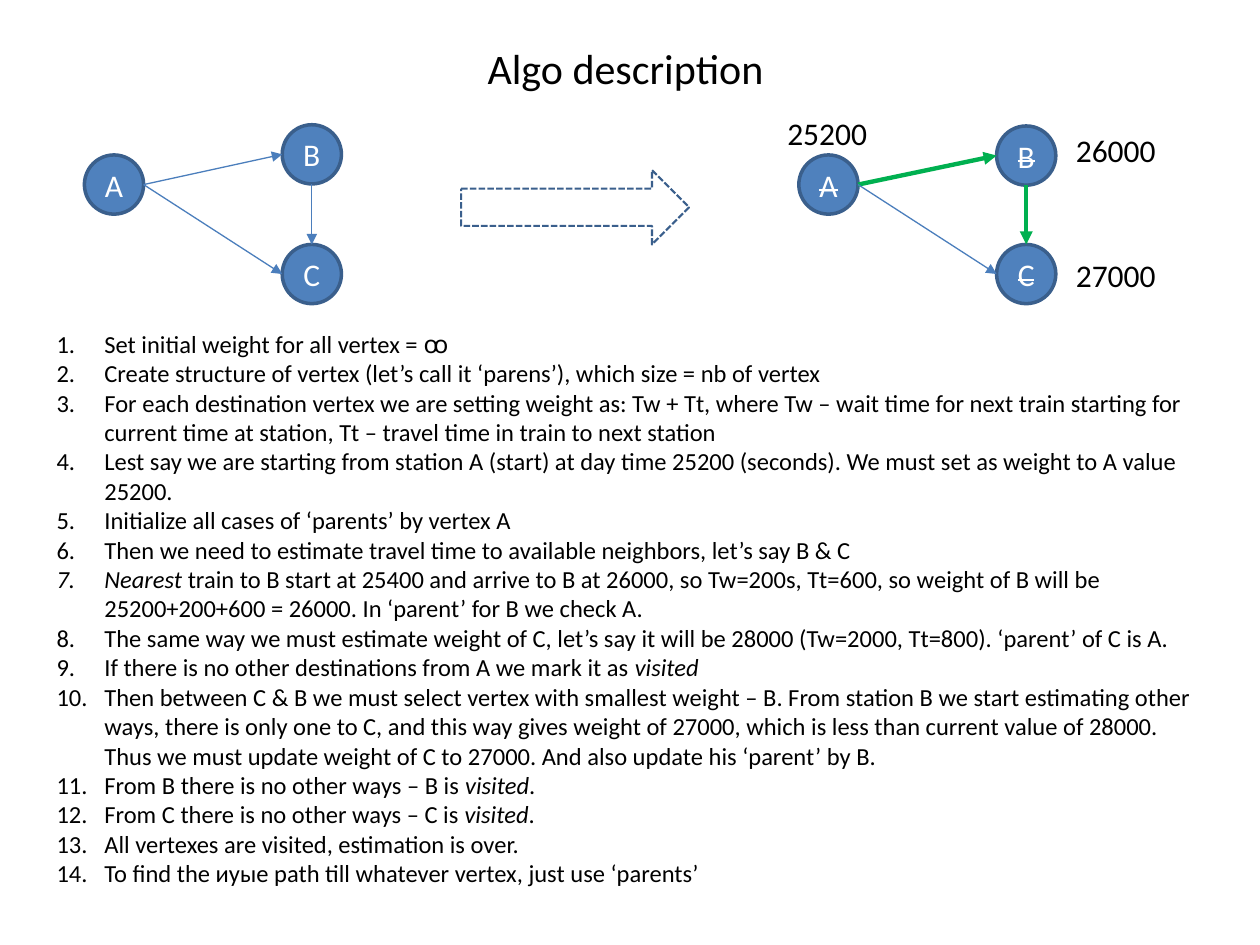
from lxml.etree import SubElement
from pptx import Presentation
from pptx.dml.color import RGBColor
from pptx.enum.dml import MSO_LINE
from pptx.enum.shapes import MSO_CONNECTOR, MSO_SHAPE
from pptx.enum.text import MSO_ANCHOR, PP_ALIGN
from pptx.oxml.ns import qn
from pptx.util import Inches, Pt

BLACK = RGBColor(0x00, 0x00, 0x00)
WHITE = RGBColor(0xFF, 0xFF, 0xFF)
BLUE = RGBColor(0x4F, 0x81, 0xBD)
NAVY = RGBColor(0x3A, 0x5F, 0x8C)
STEEL = RGBColor(0x4B, 0x7E, 0xBC)
GREEN = RGBColor(0x00, 0xB0, 0x50)

SIZE = 0.47
HALF = SIZE / 2

STEPS = [
    "Set initial weight for all vertex = ꚙ",
    "Create structure of vertex (let’s call it ‘parens’), which size = nb of vertex",
    "For each destination vertex we are setting weight as: Tw + Tt, where Tw – wait time "
    "for next train starting for current time at station, Tt – travel time in train to next station",
    "Lest say we are starting from station A (start) at day time 25200 (seconds). "
    "We must set as weight to A value 25200.",
    "Initialize all cases of ‘parents’ by vertex A",
    "Then we need to estimate travel time to available neighbors, let’s say B & C",
    "*Nearest* train to B start at 25400 and arrive to B at 26000, so Tw=200s, Tt=600, "
    "so weight of B will be 25200+200+600 = 26000. In ‘parent’ for B we check A.",
    "The same way we must estimate weight of C, let’s say it will be 28000 "
    "(Tw=2000, Tt=800). ‘parent’ of C is A.",
    "If there is no other destinations from A we mark it as *visited*",
    "Then between C & B we must select vertex with smallest weight – B. From station B "
    "we start estimating other ways, there is only one to C, and this way gives weight of "
    "27000, which is less than current value of 28000. Thus we must update weight of C "
    "to 27000. And also update his ‘parent’ by B.",
    "From B there is no other ways – B is *visited*.",
    "From C there is no other ways – C is *visited*.",
    "All vertexes are visited, estimation is over.",
    "To find the иуые path till whatever vertex, just use ‘parents’",
]


def write(para, text, font="Calibri", size=18, color=BLACK, align=PP_ALIGN.LEFT, strike=False):
    para.alignment = align
    for i, part in enumerate(text.split("*")):
        if not part:
            continue
        run = para.add_run()
        run.text = part
        run.font.name = font
        run.font.size = Pt(size)
        run.font.color.rgb = color
        if i % 2:
            run.font.italic = True
        if strike:
            run._r.get_or_add_rPr().set("strike", "sngStrike")


class Deck:
    def __init__(self, font):
        self.font = font
        self.prs = Presentation()
        self.prs.slide_width = Inches(10)
        self.prs.slide_height = Inches(7.5)
        self.slide = self.prs.slides.add_slide(self.prs.slide_layouts[6])

    def label(self, text, x, y, w, h, wrap=False, **style):
        frame = self.slide.shapes.add_textbox(*map(Inches, (x, y, w, h))).text_frame
        frame.word_wrap = wrap
        write(frame.paragraphs[0], text, font=self.font, **style)

    def steps(self, items, x, y, w, h):
        frame = self.slide.shapes.add_textbox(*map(Inches, (x, y, w, h))).text_frame
        frame.word_wrap = True
        for i, item in enumerate(items):
            para = frame.add_paragraph() if i else frame.paragraphs[0]
            write(para, item, font=self.font, size=14)
            props = para._p.get_or_add_pPr()
            props.set("marL", str(Inches(0.38)))
            props.set("indent", str(-Inches(0.38)))
            SubElement(props, qn("a:buFont"), typeface="+mj-lt")
            SubElement(props, qn("a:buAutoNum"), type="arabicPeriod")

    def shape(self, kind, x, y, w, h, width):
        shape = self.slide.shapes.add_shape(kind, *map(Inches, (x, y, w, h)))
        shape.shadow.inherit = False
        shape.line.color.rgb = NAVY
        shape.line.width = Pt(width)
        return shape

    def node(self, name, x, y, strike):
        shape = self.shape(MSO_SHAPE.OVAL, x, y, SIZE, SIZE, 2)
        shape.fill.solid()
        shape.fill.fore_color.rgb = BLUE
        frame = shape.text_frame
        frame.word_wrap = False
        frame.vertical_anchor = MSO_ANCHOR.MIDDLE
        write(frame.paragraphs[0], name, font=self.font, color=WHITE,
              align=PP_ALIGN.CENTER, strike=strike)

    def block(self, x, y, w, h):
        shape = self.shape(MSO_SHAPE.RIGHT_ARROW, x, y, w, h, 1.25)
        shape.fill.background()
        shape.line.dash_style = MSO_LINE.SQUARE_DOT

    def edge(self, start, end, bold):
        line = self.slide.shapes.add_connector(
            MSO_CONNECTOR.STRAIGHT, *map(Inches, (*start, *end)))
        line.line.color.rgb = GREEN if bold else STEEL
        line.line.width = Pt(2.5 if bold else 0.75)
        SubElement(line.line._get_or_add_ln(), qn("a:tailEnd"), type="triangle")
        SubElement(line._element.spPr, qn("a:effectLst"))

    def graph(self, spots, done=False):
        for name, (x, y) in spots.items():
            self.node(name, x, y, done)
        (ax, ay), (bx, by), (cx, cy) = spots.values()
        out = (ax + SIZE, ay + HALF)
        self.edge(out, (bx, by + HALF), done)
        self.edge(out, (cx, cy + HALF), False)
        self.edge((bx + HALF, by + SIZE), (cx + HALF, cy), done)


def main():
    deck = Deck("Calibri")
    deck.steps(STEPS, 0.35, 2.56, 9.21, 4.58)
    deck.label("Algo description", 0.2, 0.29, 9.53, 0.5, wrap=True,
               size=24, align=PP_ALIGN.CENTER)
    deck.graph({"A": (0.67, 1.23), "B": (2.24, 0.99), "C": (2.24, 1.94)})
    deck.graph({"A": (6.34, 1.23), "B": (7.91, 1), "C": (7.91, 1.94)}, done=True)
    for text, x, y in (("27000", 8.44, 1.98), ("26000", 8.44, 0.99), ("25200", 6.15, 0.86)):
        deck.label(text, x, y, 0.84, 0.4)
    deck.block(3.66, 1.35, 1.81, 0.59)
    deck.prs.save("out.pptx")


if __name__ == "__main__":
    main()
